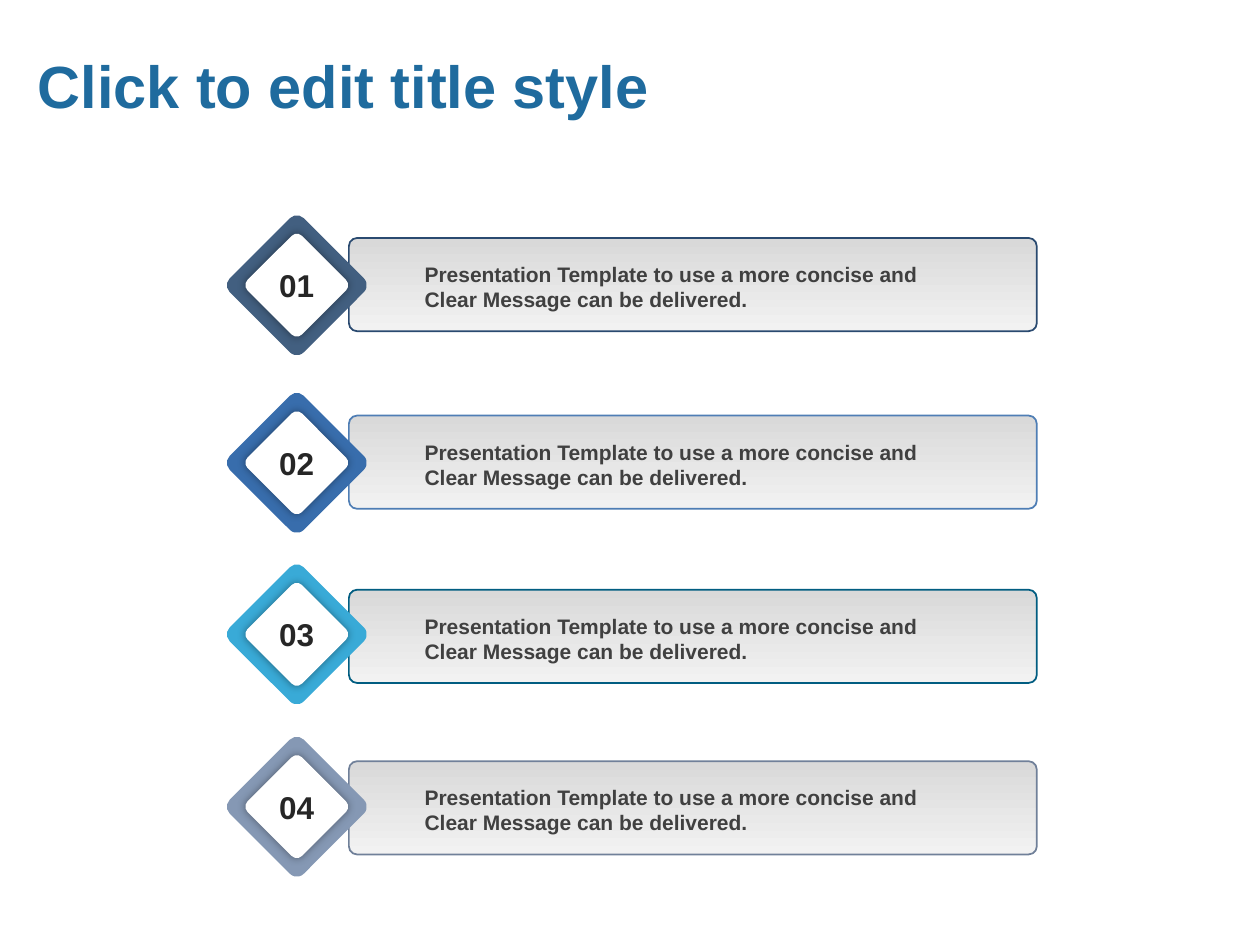
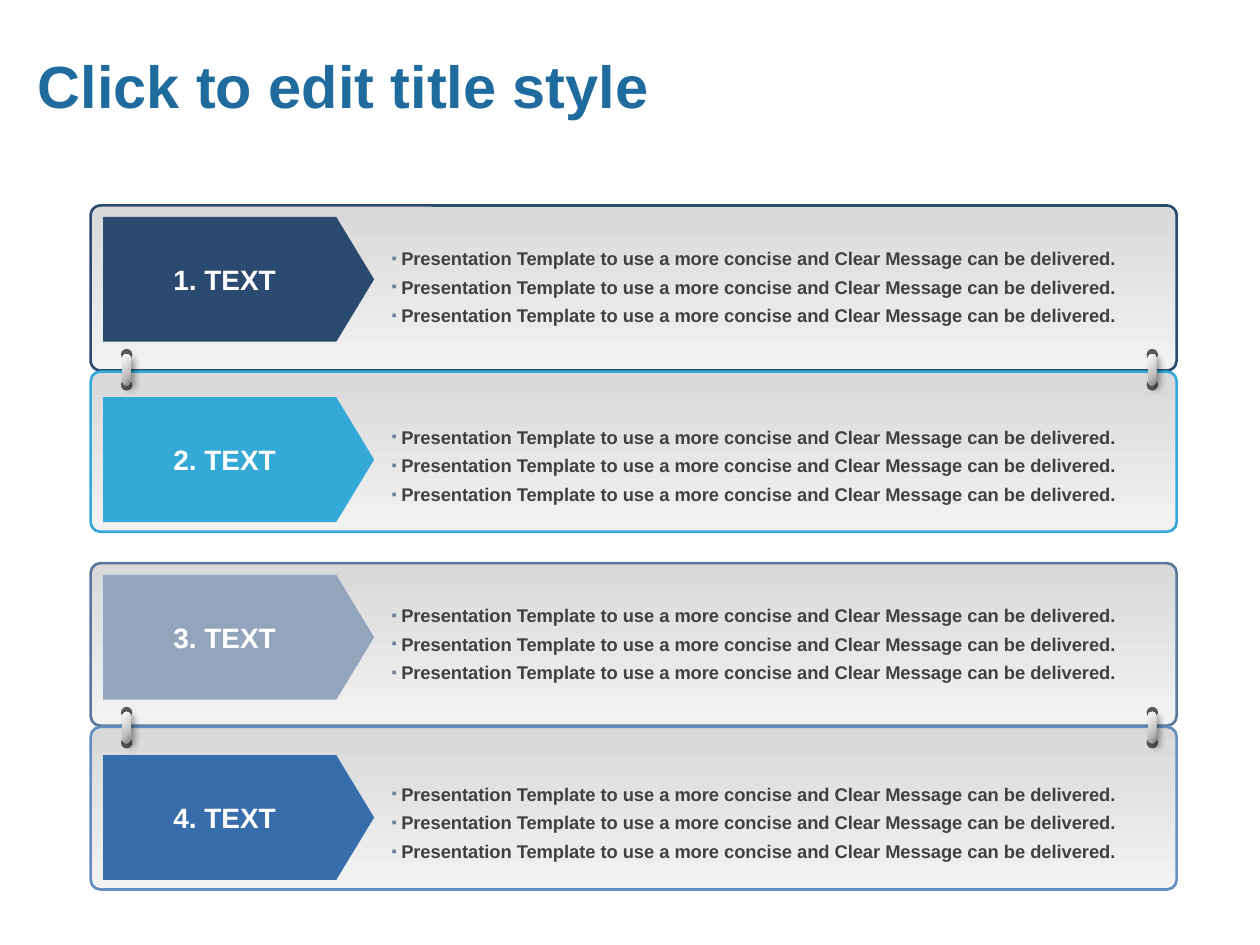
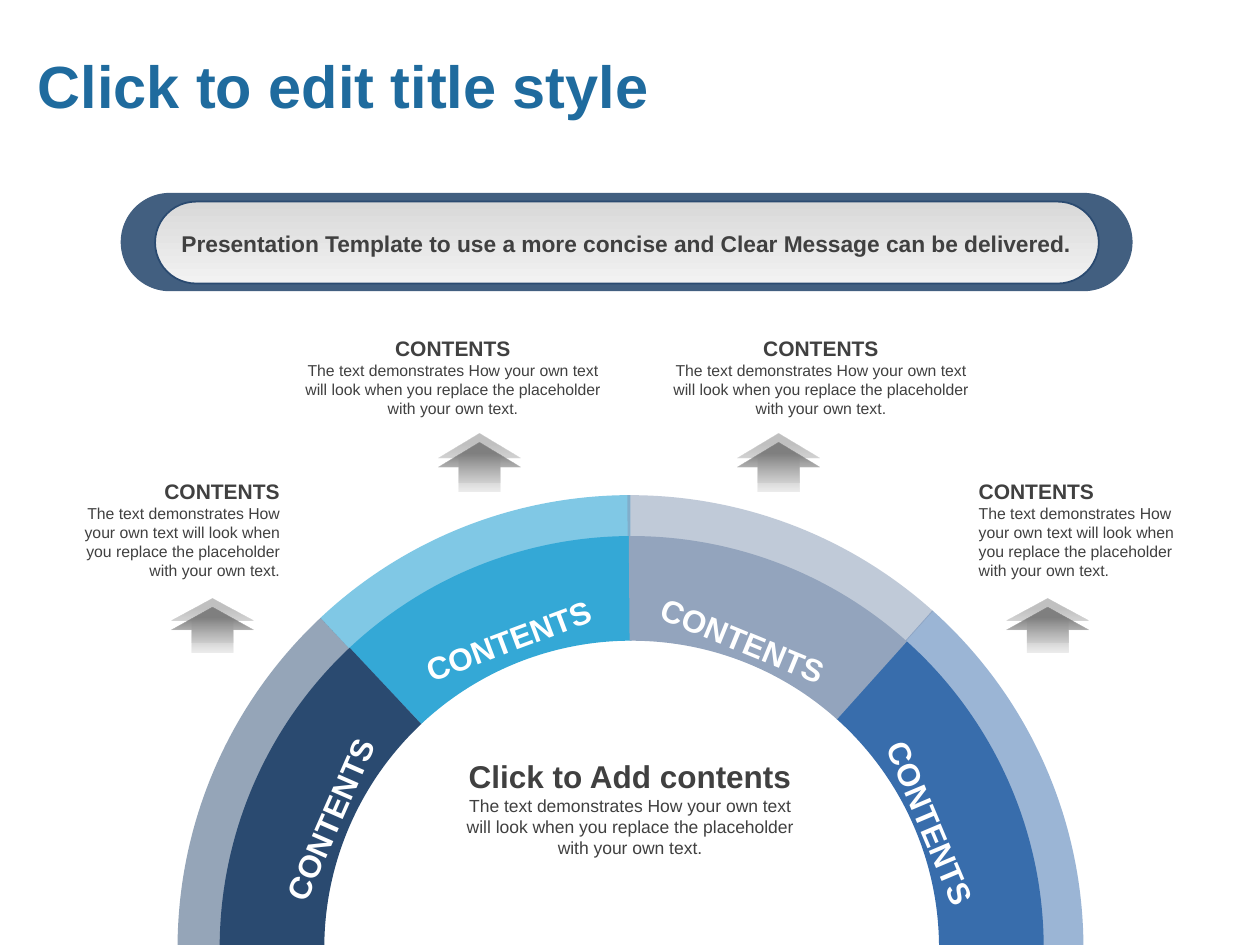
from collections import namedtuple
from dataclasses import dataclass

from pptx import Presentation
from pptx.dml.color import RGBColor
from pptx.enum.shapes import MSO_SHAPE
from pptx.enum.text import MSO_ANCHOR, MSO_AUTO_SIZE, PP_ALIGN
from pptx.oxml import parse_xml
from pptx.oxml.ns import nsdecls, qn
from pptx.util import Pt

ROUNDED, OVAL = MSO_SHAPE.ROUNDED_RECTANGLE, MSO_SHAPE.OVAL
PENTAGON, UP_ARROW, BLOCK_ARC = MSO_SHAPE.PENTAGON, MSO_SHAPE.UP_ARROW, MSO_SHAPE.BLOCK_ARC
LEFT, CENTER, RIGHT, JUSTIFY = PP_ALIGN.LEFT, PP_ALIGN.CENTER, PP_ALIGN.RIGHT, PP_ALIGN.JUSTIFY
TOP, MIDDLE = MSO_ANCHOR.TOP, MSO_ANCHOR.MIDDLE

Style = namedtuple("Style", "size color bold")
# Gradient stops are (position %, colour, opacity %); angle runs clockwise
Gradient = namedtuple("Gradient", "stops angle")
Shadow = namedtuple("Shadow", "color opacity blur distance angle")


@dataclass(frozen=True)
class Theme:
    font: str = "Arial"
    navy: str = "2A4A70"
    slate: str = "425F80"
    blue: str = "386DAC"
    sky: str = "34A8D6"
    steel: str = "93A4BD"
    white: str = "FFFFFF"
    bullet: str = "708099"
    stud: str = "595959"
    title: Style = Style(34, "1F6B9E", True)
    number: Style = Style(18, "262626", True)
    message: Style = Style(12, "404040", True)
    point: Style = Style(10.5, "404040", True)
    tag: Style = Style(16, "FFFFFF", True)
    arc_label: Style = Style(18, "FFFFFF", True)
    banner: Style = Style(13, "404040", True)
    center_heading: Style = Style(18, "404040", True)
    center_body: Style = Style(10, "404040", False)
    note_heading: Style = Style(12, "404040", True)
    note_body: Style = Style(9, "404040", False)
    panel: Gradient = Gradient(((1, "F2F2F2", 100), (99, "D9D9D9", 100)), 270)
    metal: Gradient = Gradient(((0, "808080", 100), (35, "BFBFBF", 100), (100, "FFFFFF", 100)), 225)
    arrow: Gradient = Gradient(((23, "808080", 100), (100, "BFBFBF", 29)), 90)
    arrow_echo: Gradient = Gradient(((23, "808080", 49), (100, "BFBFBF", 29)), 90)
    glow: Shadow = Shadow("000000", 40, 5, 0, 0)
    drop: Shadow = Shadow("000000", 40, 4, 3, 45)
    message_margins: tuple = (8.64, 8.64, 11.52, 5.76)


THEME = Theme()

# Content
TITLE = "Click to edit title style"
MESSAGE = "Presentation Template to use a more concise and Clear Message can be delivered."
MESSAGE_LINES = ["Presentation Template to use a more concise and", "Clear Message can be delivered."]
SAMPLE = ("The text demonstrates How your own text will look when you replace "
          "the placeholder with your own text.")

# number, diamond colour, bar outline, bar top, diamond centre
STEPS = [
    ("01", THEME.slate, THEME.navy, 136, 163),
    ("02", THEME.blue, "4F7EB5", 237.5, 264.5),
    ("03", "39AAD7", "015D81", 337, 362.5),
    ("04", "8598B4", "708099", 435, 461),
]

# tag, arrow colour, panel outline, panel top, panel height, arrow top
CARDS = [
    ("1. TEXT", THEME.navy, THEME.navy, 117.4, 94.3, 124),
    ("2. TEXT", THEME.sky, THEME.sky, 212.4, 91.5, 227),
    ("3. TEXT", THEME.steel, "5A789C", 321.8, 92.9, 328.5),
    ("4. TEXT", THEME.blue, "638CBE", 415.4, 92.9, 431.5),
]
POINTS_PER_CARD = 3
RING_LEFTS, RING_TOPS = (69.1, 655.2), (199.4, 403.9)

# label, inner colour, outer colour, start and end degrees, label centre, label turn
SECTORS = [
    ("CONTENTS", THEME.sky, "0293CC", 226.8, 270, (290.5, 365.8), 339.5),
    ("CONTENTS", THEME.blue, THEME.blue, 311.8, 359.8, (531.7, 470.2), 67.1),
    ("CONTENTS", THEME.steel, "8396B3", 269.6, 311.9, (424.4, 365.8), 22.4),
    ("CONTENTS", THEME.navy, "2D4D72", 180, 226.8, (188.3, 468), 293.7),
]
CENTER_HEADING = "Click to Add contents"

# heading, alignment, text box, arrow left, arrow top, arrow height
NOTES = [
    ("CONTENTS", RIGHT, (28, 270, 139, 65), 97.9, 342, 25.2),
    ("CONTENTS", CENTER, (166.3, 188, 185, 60), 250.6, 247.7, 28),
    ("CONTENTS", CENTER, (376.6, 188, 185, 60), 421.2, 247.7, 28),
    ("CONTENTS", LEFT, (552.2, 270, 139, 65), 575.3, 342, 25.2),
]


# Shared helpers
def points(values):
    return [Pt(value) for value in values]


def square(center_x, center_y, side):
    return center_x - side / 2, center_y - side / 2, side, side


def color_xml(color, opacity):
    return f'<a:srgbClr val="{color}"><a:alpha val="{opacity * 1000}"/></a:srgbClr>'


def gradient_element(gradient):
    stops = "".join(f'<a:gs pos="{position * 1000}">{color_xml(color, opacity)}</a:gs>'
                    for position, color, opacity in gradient.stops)
    return parse_xml(f'<a:gradFill {nsdecls("a")} rotWithShape="1"><a:gsLst>{stops}</a:gsLst>'
                     f'<a:lin ang="{gradient.angle * 60000}" scaled="0"/></a:gradFill>')


def add_shadow(shape, shadow):
    effects = shape._element.spPr.find(qn("a:effectLst"))
    effects.append(parse_xml(
        f'<a:outerShdw {nsdecls("a")} blurRad="{Pt(shadow.blur)}" dist="{Pt(shadow.distance)}" '
        f'dir="{shadow.angle * 60000}" algn="ctr" rotWithShape="0">'
        f'{color_xml(shadow.color, shadow.opacity)}</a:outerShdw>'))


def add_figure(slide, kind, box, fill, opacity=100, outline=None, weight=1,
               adjust=(), turn=0, shadow=None):
    shape = slide.shapes.add_shape(kind, *points(box))
    shape.shadow.inherit = False
    shape.rotation = turn
    for index, value in enumerate(adjust):
        shape.adjustments[index] = value
    if isinstance(fill, Gradient):
        shape.fill.background()
        properties = shape._element.spPr
        properties.replace(properties.find(qn("a:noFill")), gradient_element(fill))
    else:
        shape.fill.solid()
        shape.fill.fore_color.rgb = RGBColor.from_string(fill)
        if opacity < 100:
            color = shape._element.spPr.find(qn("a:solidFill"))[0]
            color.append(parse_xml(f'<a:alpha {nsdecls("a")} val="{opacity * 1000}"/>'))
    if outline:
        shape.line.color.rgb = RGBColor.from_string(outline)
        shape.line.width = Pt(weight)
    else:
        shape.line.fill.background()
    if shadow:
        add_shadow(shape, shadow)
    return shape


def add_bullet(paragraph):
    properties = paragraph._p.get_or_add_pPr()
    properties.set("marL", str(Pt(5.5)))
    properties.set("indent", str(Pt(-5.5)))
    for xml in (f'<a:buClr {nsdecls("a")}><a:srgbClr val="{THEME.bullet}"/></a:buClr>',
                f'<a:buSzPct {nsdecls("a")} val="80000"/>',
                f'<a:buFont {nsdecls("a")} typeface="{THEME.font}"/>',
                f'<a:buChar {nsdecls("a")} char="▪"/>'):
        properties.append(parse_xml(xml))


def write(frame, paragraphs, align=LEFT, anchor=TOP, margins=(7.2, 3.6, 7.2, 3.6),
          wrap=True, bullets=False, spacing=None):
    """Fill a text frame with (text, style) paragraphs."""
    frame.auto_size = MSO_AUTO_SIZE.NONE
    frame.word_wrap = wrap
    frame.vertical_anchor = anchor
    (frame.margin_left, frame.margin_top,
     frame.margin_right, frame.margin_bottom) = points(margins)
    for index, (text, style) in enumerate(paragraphs):
        paragraph = frame.add_paragraph() if index else frame.paragraphs[0]
        if bullets:
            add_bullet(paragraph)
        paragraph.alignment = align
        if spacing:
            paragraph.line_spacing = spacing
        run = paragraph.add_run()
        run.text = text
        run.font.name = THEME.font
        run.font.size = Pt(style.size)
        run.font.bold = style.bold
        run.font.color.rgb = RGBColor.from_string(style.color)


def add_text(slide, box, paragraphs, turn=0, **layout):
    text_box = slide.shapes.add_textbox(*points(box))
    text_box.rotation = turn
    write(text_box.text_frame, paragraphs, **layout)


def add_titled_slide(deck):
    slide = deck.slides.add_slide(deck.slide_layouts[5])
    title = slide.shapes.title
    title.left, title.top, title.width, title.height = points((14.4, 12.2, 494, 72.7))
    write(title.text_frame, [(TITLE, THEME.title)], anchor=MIDDLE)
    return slide


# Slide 1: numbered bars
def build_steps(deck):
    slide = add_titled_slide(deck)
    diamond_x = 169.6
    for number, color, outline, bar_top, diamond_y in STEPS:
        add_figure(slide, ROUNDED, (199.4, bar_top, 393.1, 53.3), THEME.panel,
                   outline=outline, adjust=[0.088])
        add_figure(slide, ROUNDED, square(diamond_x, diamond_y, 59.8), color,
                   adjust=[0.094], turn=45)
        add_figure(slide, ROUNDED, square(diamond_x, diamond_y, 44), THEME.white,
                   adjust=[0.094], turn=45, shadow=THEME.glow)
        add_text(slide, square(diamond_x, diamond_y, 42), [(number, THEME.number)],
                 align=CENTER, anchor=MIDDLE, wrap=False)
        add_text(slide, (234, bar_top + 8, 336.2, 36.7),
                 [(line, THEME.message) for line in MESSAGE_LINES],
                 anchor=MIDDLE, margins=THEME.message_margins)


# Slide 2: cards joined by rings
def add_ring(slide, left, top):
    for stud_top in (top, top + 17.3):
        add_figure(slide, OVAL, (left, stud_top, 6.5, 6.5), THEME.stud)
    add_figure(slide, ROUNDED, (left + 1, top + 2.9, 4.5, 18), THEME.metal,
               adjust=[0.5], shadow=THEME.drop)


def build_cards(deck):
    slide = add_titled_slide(deck)
    for index, (tag, color, outline, top, height, arrow_top) in enumerate(CARDS):
        add_figure(slide, ROUNDED, (51.8, top, 620.6, height), THEME.panel,
                   outline=outline, weight=1.5, adjust=[0.06])
        add_figure(slide, PENTAGON, (59, arrow_top, 154.8, 71.3), color, adjust=[0.303])
        add_text(slide, (92, arrow_top, 81.4, 71.3), [(tag, THEME.tag)], anchor=MIDDLE)
        add_text(slide, (216.7, 134 + 102 * index, 438.5, 55.4),
                 [(MESSAGE, THEME.point)] * POINTS_PER_CARD,
                 align=JUSTIFY, bullets=True, spacing=1.3)
    for top in RING_TOPS:
        for left in RING_LEFTS:
            add_ring(slide, left, top)


# Slide 3: arch of sectors under a banner
def add_sector(slide, center_x, diameter, start, end, color, opacity=100):
    # Adjustments count 60000ths of a degree in units of 100000
    add_figure(slide, BLOCK_ARC, square(center_x, 541.8, diameter), color, opacity,
               adjust=[start * 0.6, end * 0.6, 0.127])


def build_arch(deck):
    slide = add_titled_slide(deck)
    for _, _, outer, start, end, _, _ in SECTORS:
        add_sector(slide, 360.3, 517.7, start, end, outer, opacity=50)
    for _, inner, _, start, end, _, _ in SECTORS:
        add_sector(slide, 361, 470.9, start, end, inner)
    for label, _, _, _, _, (x, y), turn in SECTORS:
        add_text(slide, (x - 57.2, y - 14.4, 114.4, 28.8), [(label, THEME.arc_label)],
                 turn=turn, align=CENTER, wrap=False)

    add_text(slide, (258.5, 429, 203, 72),
             [(CENTER_HEADING, THEME.center_heading), (SAMPLE, THEME.center_body)], align=CENTER)

    for heading, align, box, left, top, height in NOTES:
        add_text(slide, box, [(heading, THEME.note_heading), (SAMPLE, THEME.note_body)],
                 align=align)
        for offset, fill in ((0, THEME.arrow_echo), (5.4, THEME.arrow)):
            add_figure(slide, UP_ARROW, (left, top + offset, 46.8, height), fill)

    add_figure(slide, ROUNDED, (69, 110.2, 578.2, 56.2), THEME.slate, adjust=[0.5])
    add_figure(slide, ROUNDED, (88.6, 115.2, 539.3, 46.8), THEME.panel,
               outline=THEME.navy, adjust=[0.5])
    add_text(slide, (87.8, 125.3, 542.2, 25.2), [(MESSAGE, THEME.banner)],
             align=CENTER, anchor=MIDDLE, margins=THEME.message_margins)


def main():
    deck = Presentation()
    deck.slide_width, deck.slide_height = points((720, 540))
    for build in (build_steps, build_cards, build_arch):
        build(deck)
    deck.save("out.pptx")


if __name__ == "__main__":
    main()
